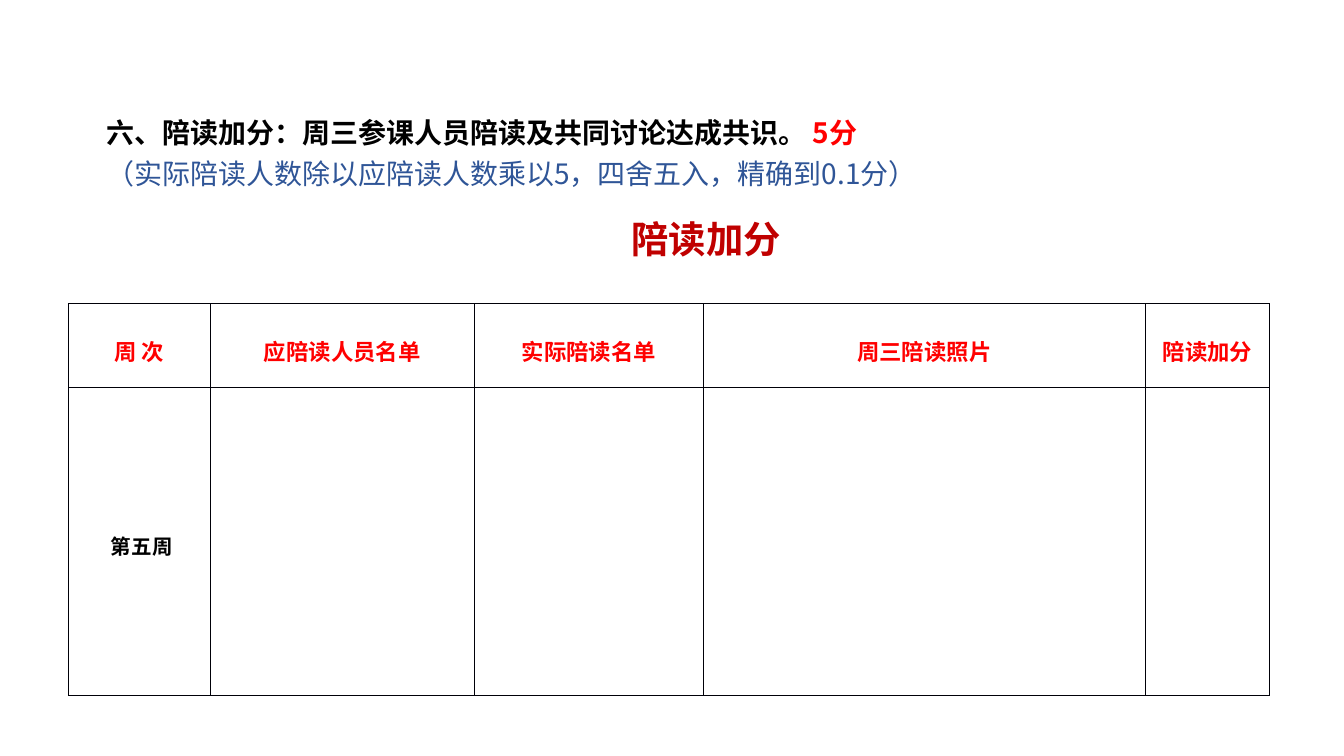
"""Build the slide on bonus points for accompanied reading."""
from lxml import etree
from pptx import Presentation
from pptx.dml.color import RGBColor
from pptx.enum.text import MSO_ANCHOR, MSO_AUTO_SIZE, PP_ALIGN
from pptx.oxml.ns import qn
from pptx.util import Cm, Pt

CENTER, LEFT = PP_ALIGN.CENTER, PP_ALIGN.LEFT
TOP, MIDDLE = MSO_ANCHOR.TOP, MSO_ANCHOR.MIDDLE
GROW = MSO_AUTO_SIZE.SHAPE_TO_FIT_TEXT


class Theme:
    font = "Noto Sans CJK SC"
    title, body, header, week = Pt(20), Pt(15), Pt(12), Pt(11)
    dark_red = RGBColor.from_string("C00000")
    red = RGBColor.from_string("FF0000")
    blue = RGBColor.from_string("2F5597")
    black = RGBColor.from_string("000000")
    border = "000008"
    border_width = Pt(0.5)
    indent = Cm(1.07)


def write(para, spans, size, bold, align, spacing, indent=0):
    """Fill a paragraph with (text, colour) spans in one type style."""
    para.alignment, para.line_spacing = align, spacing
    para.space_before = Pt(0)
    properties = para._p.get_or_add_pPr()
    properties.set("marL", "0")
    properties.set("indent", str(int(indent)))
    font = para.font
    font.name, font.size, font.bold = Theme.font, size, bold
    etree.SubElement(font._element, qn("a:ea"), typeface=Theme.font)
    for text, color in spans:
        span = para.add_run()
        span.text = text
        span.font.color.rgb = color


def prepare(box, left, top, width, height):
    """Place a text box and set its frame."""
    box.left, box.top, box.width, box.height = left, top, width, height
    frame = box.text_frame
    frame.word_wrap, frame.auto_size = True, GROW
    frame.vertical_anchor = TOP
    frame.margin_left = frame.margin_right = Cm(0.13)
    frame.margin_top = frame.margin_bottom = Cm(0.13)
    return frame


deck = Presentation()
deck.slide_width, deck.slide_height = Cm(25.4), Cm(14.28)
page = deck.slides.add_slide(deck.slide_layouts[5])

title = prepare(page.shapes.title, Cm(0), Cm(3.53), Cm(25.63), Cm(1.52))
write(title.paragraphs[0], [("陪读加分", Theme.dark_red)],
      Theme.title, True, CENTER, 1.5, Theme.indent)

rule_box = page.shapes.add_textbox(0, 0, 0, 0)
rule = prepare(rule_box, Cm(0.81), Cm(1.93), Cm(24.26), Cm(1.78))
write(rule.paragraphs[0],
      [("六、陪读加分：周三参课人员陪读及共同讨论达成共识。", Theme.black),
       (" 5分", Theme.red)],
      Theme.body, True, LEFT, 1.2, Theme.indent)
write(rule.add_paragraph(),
      [("（实际陪读人数除以应陪读人数乘以5，四舍五入，精确到0.1分）", Theme.blue)],
      Theme.body, False, LEFT, 1.2, Theme.indent)

headers = ["周 次", "应陪读人员名单", "实际陪读名单", "周三陪读照片", "陪读加分"]
widths = [2.67, 5, 4.32, 8.36, 2.34]
heights = [1.57, 5.82]
table = page.shapes.add_table(
    len(heights), len(widths), Cm(1.3), Cm(5.74),
    Cm(sum(widths)), Cm(sum(heights))).table
table.first_row = table.horz_banding = False
for column, width in zip(table.columns, widths):
    column.width = Cm(width)
for row, height in zip(table.rows, heights):
    row.height = Cm(height)

for cell in table.iter_cells():
    cell.vertical_anchor = MIDDLE
    cell.margin_left = cell.margin_right = Cm(0.18)
    cell.margin_top = cell.margin_bottom = 0
    properties = cell._tc.get_or_add_tcPr()
    for side in ("lnL", "lnR", "lnT", "lnB"):
        line = etree.SubElement(properties, qn(f"a:{side}"), w=str(int(Theme.border_width)))
        fill = etree.SubElement(line, qn("a:solidFill"))
        etree.SubElement(fill, qn("a:srgbClr"), val=Theme.border)
    cell.fill.background()

for index, header in enumerate(headers):
    para = table.cell(0, index).text_frame.paragraphs[0]
    write(para, [(header, Theme.red)], Theme.header, True, CENTER, 1.3)
write(table.cell(1, 0).text_frame.paragraphs[0], [(" 第五周", Theme.black)],
      Theme.week, True, CENTER, 1.3)

deck.save("out.pptx")
